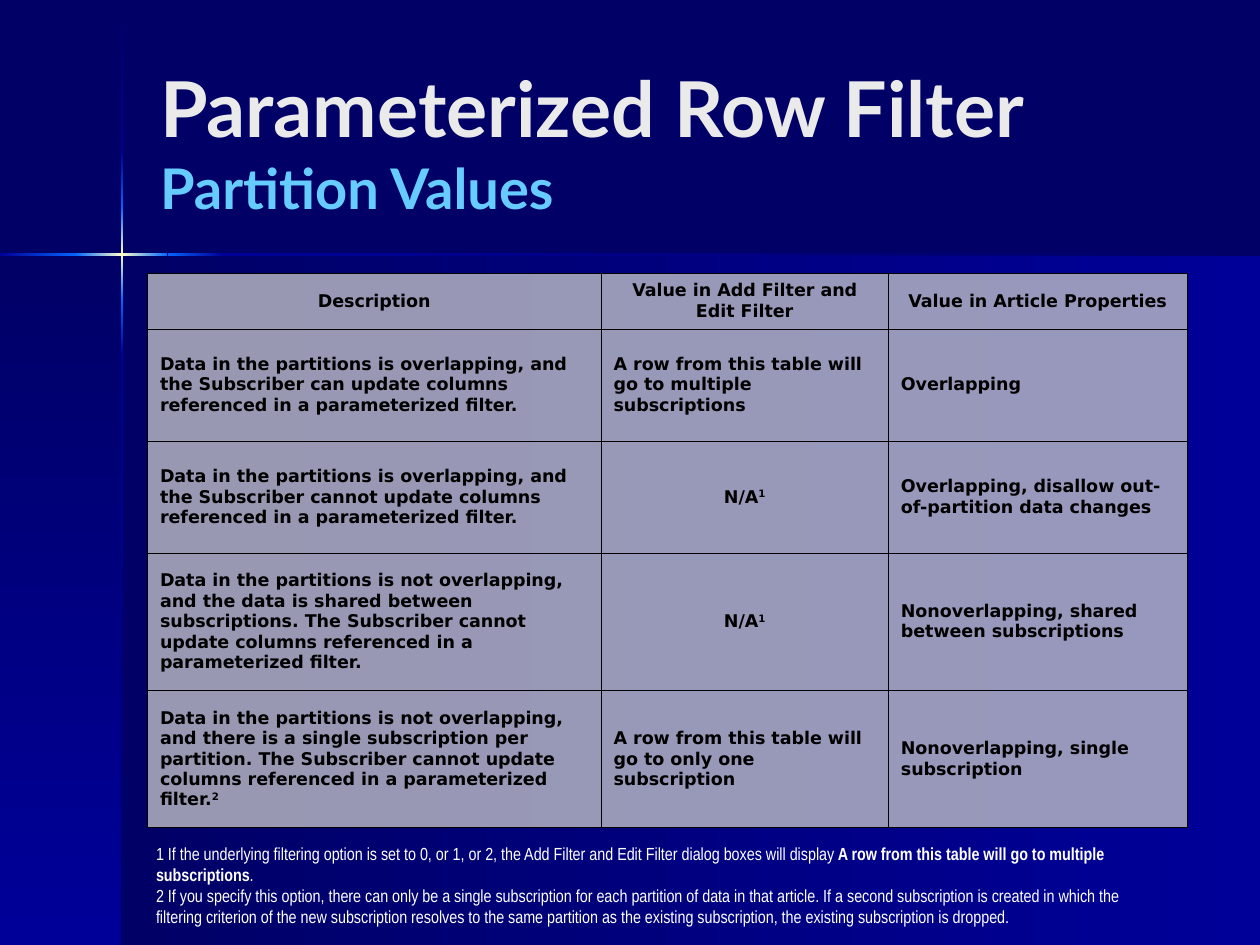
from dataclasses import dataclass

from lxml import etree
from pptx import Presentation
from pptx import util as u
from pptx.dml import color
from pptx.enum import shapes, text
from pptx.oxml import ns, parse_xml


@dataclass
class Theme:
    night: str = "000066"
    navy: str = "000099"
    blue: str = "0066FF"
    glow: str = "FFFFCC"
    title: str = "EAEAEA"
    subtitle: str = "66CCFF"
    cell: str = "CCCCCC"
    ink: str = "000000"
    note: str = "FFFFFF"
    title_font: str = "Lato"
    table_font: str = "DejaVu Sans"
    note_font: str = "Arial Narrow"
    title_size: int = 44
    subtitle_size: int = 32
    body_size: int = 10


theme = Theme()


def add_run(para, words, font, size, rgb, bold=False):
    span = para.add_run()
    span.text = words
    span.font.name = font
    span.font.size = u.Pt(size)
    span.font.bold = bold
    span.font.color.rgb = color.RGBColor.from_string(rgb)
    return span


def add_gradient_band(page, left, top, width, height, angle, colours):
    band = page.shapes.add_shape(
        shapes.MSO_SHAPE.RECTANGLE,
        u.Inches(left), u.Inches(top), u.Inches(width), u.Inches(height))
    band.shadow.inherit = False
    band.line.fill.background()
    stops = "".join(
        f'<a:gs pos="{100000 * i // (len(colours) - 1)}"><a:srgbClr val="{rgb}"/></a:gs>'
        for i, rgb in enumerate(colours))
    gradient = parse_xml(
        f'<a:gradFill {ns.nsdecls("a")}><a:gsLst>{stops}</a:gsLst>'
        f'<a:lin ang="{angle * 60000}" scaled="0"/></a:gradFill>')
    band._element.spPr.find(ns.qn("a:prstGeom")).addnext(gradient)


deck = Presentation()
deck.slide_width, deck.slide_height = u.Inches(10), u.Inches(7.5)
page = deck.slides.add_slide(deck.slide_layouts[5])
page.background.fill.solid()
page.background.fill.fore_color.rgb = color.RGBColor.from_string(theme.night)

# Backdrop panels and the glowing cross
rise = [theme.night, theme.navy]
fade = [theme.navy, theme.night]
brighten = [theme.navy, theme.blue]
dim = [theme.blue, theme.navy]
flare = [theme.blue, theme.glow, theme.blue]
bands = [
    (0.97, 2.02, 9.03, 5.48, 0, rise),
    (0, 2.02, 0.97, 5.48, 90, rise),
    (0.96, 0.01, 0.02, 1.2, 90, rise),
    (0.96, 2.82, 0.02, 4.68, 90, fade),
    (1.77, 2.01, 8.23, 0.02, 0, fade),
    (0.96, 2.38, 0.02, 0.44, 90, dim),
    (0.96, 1.21, 0.02, 0.44, 90, brighten),
    (0.96, 1.65, 0.02, 0.73, 90, flare),
    (0, 2.01, 0.61, 0.02, 0, brighten),
    (1.33, 2.01, 0.44, 0.02, 0, dim),
    (0.6, 2.01, 0.73, 0.02, 0, flare),
]
for band in bands:
    add_gradient_band(page, *band)

# Title, moved in front of the backdrop
title = page.shapes.title
page.shapes._spTree.append(title._element)
title.left, title.top = u.Inches(1.17), u.Inches(0.33)
title.width, title.height = u.Inches(8.25), u.Inches(1.57)
frame = title.text_frame
frame.word_wrap = True
frame.auto_size = text.MSO_AUTO_SIZE.NONE
frame.vertical_anchor = text.MSO_ANCHOR.MIDDLE
para = frame.paragraphs[0]
para.alignment = text.PP_ALIGN.LEFT
add_run(para, "Parameterized Row Filter ", theme.title_font, theme.title_size, theme.title, True)
add_run(para, "Partition Values", theme.title_font, theme.subtitle_size, theme.subtitle, True)

# Table of partition values: each cell is (text, superscript, centred)
rows = [
    [("Description", "", True),
     ("Value in Add Filter and Edit Filter", "", True),
     ("Value in Article Properties", "", True)],
    [("Data in the partitions is overlapping, and the Subscriber can update columns "
      "referenced in a parameterized filter.", "", False),
     ("A row from this table will go to multiple subscriptions", "", False),
     ("Overlapping", "", False)],
    [("Data in the partitions is overlapping, and the Subscriber cannot update columns "
      "referenced in a parameterized filter.", "", False),
     ("N/A", "1", True),
     ("Overlapping, disallow out-of-partition data changes", "", False)],
    [("Data in the partitions is not overlapping, and the data is shared between "
      "subscriptions. The Subscriber cannot update columns referenced in a "
      "parameterized filter.", "", False),
     ("N/A", "1", True),
     ("Nonoverlapping, shared between subscriptions", "", False)],
    [("Data in the partitions is not overlapping, and there is a single subscription per "
      "partition. The Subscriber cannot update columns referenced in a parameterized "
      "filter.", "2", False),
     ("A row from this table will go to only one subscription", "", False),
     ("Nonoverlapping, single subscription", "", False)],
]
widths = [3.6, 2.28, 2.37]
heights = [0.44, 0.89, 0.89, 1.09, 1.09]
table = page.shapes.add_table(
    len(rows), len(widths), u.Inches(1.17), u.Inches(2.17),
    u.Inches(sum(widths)), u.Inches(sum(heights))).table
table.first_row = table.horz_banding = False
for column, width in zip(table.columns, widths):
    column.width = u.Inches(width)
for row, height in zip(table.rows, heights):
    row.height = u.Inches(height)

for r, row in enumerate(rows):
    for c, (words, mark, centred) in enumerate(row):
        cell = table.cell(r, c)
        cell.vertical_anchor = text.MSO_ANCHOR.MIDDLE
        cell.margin_left = cell.margin_right = u.Inches(0.1)
        cell.margin_top = cell.margin_bottom = u.Inches(0.05)
        para = cell.text_frame.paragraphs[0]
        para.alignment = text.PP_ALIGN.CENTER if centred else text.PP_ALIGN.LEFT
        add_run(para, words, theme.table_font, theme.body_size, theme.ink, True)
        if mark:
            span = add_run(para, mark, theme.table_font, theme.body_size, theme.ink, True)
            span.font._element.set("baseline", "30000")

        # Translucent fill and thin borders
        cell.fill.solid()
        cell.fill.fore_color.rgb = color.RGBColor.from_string(theme.cell)
        properties = cell._tc.tcPr
        fill_colour = properties.find(".//" + ns.qn("a:srgbClr"))
        etree.SubElement(fill_colour, ns.qn("a:alpha")).set("val", "75000")
        for i, side in enumerate(("lnL", "lnR", "lnT", "lnB")):
            properties.insert(i, parse_xml(
                f'<a:{side} {ns.nsdecls("a")} w="{u.Pt(0.34)}"><a:solidFill>'
                f'<a:srgbClr val="{theme.ink}"/></a:solidFill></a:{side}>'))

# Footnotes
notes = [
    [("1 If the underlying filtering option is set to 0, or 1, or 2, the Add Filter and "
      "Edit Filter dialog boxes will display ", False),
     ("A row from this table will go to multiple subscriptions", True),
     (".", False)],
    [("2 If you specify this option, there can only be a single subscription for each "
      "partition of data in that article. If a second subscription is created in which "
      "the filtering criterion of the new subscription resolves to the same partition as "
      "the existing subscription, the existing subscription is dropped.", False)],
]
box = page.shapes.add_textbox(u.Inches(1.14), u.Inches(6.64), u.Inches(7.87), u.Inches(0.77))
frame = box.text_frame
frame.word_wrap = True
frame.auto_size = text.MSO_AUTO_SIZE.SHAPE_TO_FIT_TEXT
for i, note in enumerate(notes):
    para = frame.add_paragraph() if i else frame.paragraphs[0]
    for words, bold in note:
        add_run(para, words, theme.note_font, theme.body_size, theme.note, bold)

deck.save("out.pptx")
